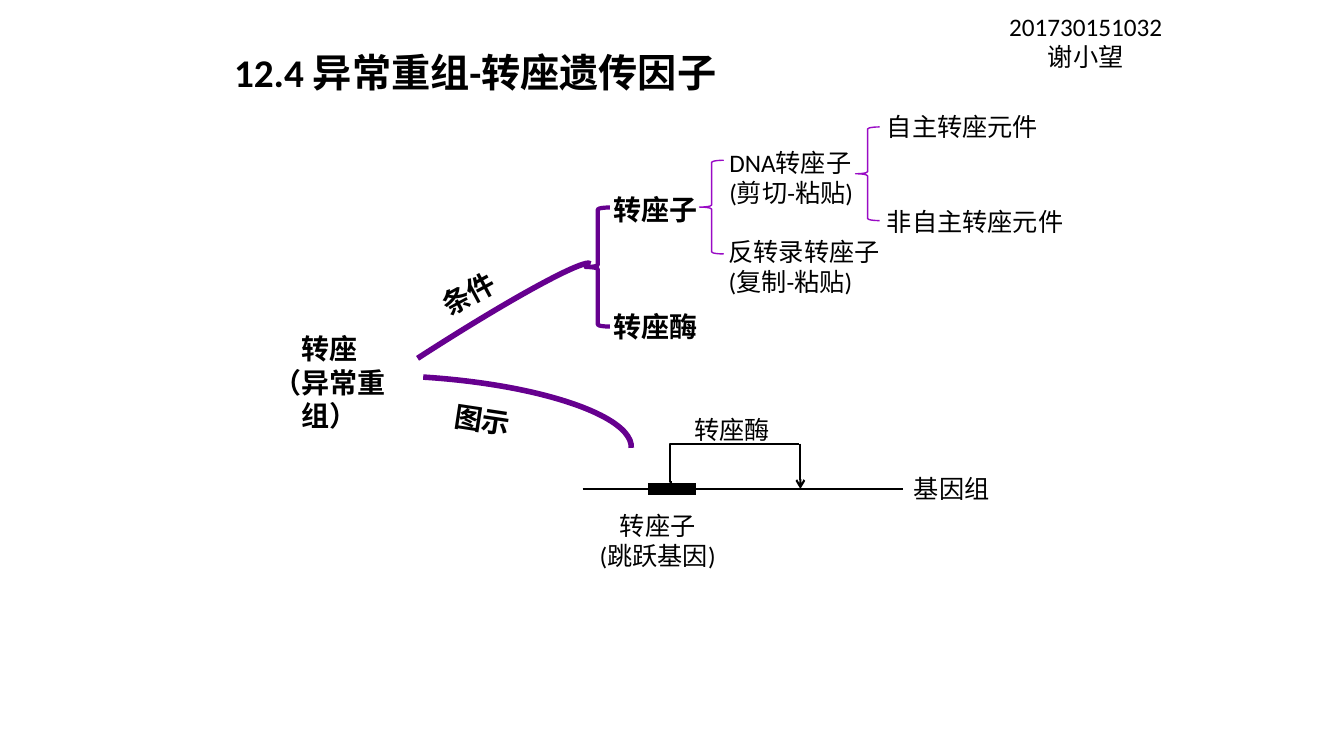
from lxml import etree
from pptx import Presentation
from pptx import util as u
from pptx.dml.color import RGBColor
from pptx.enum import shapes, text
from pptx.oxml import ns

COLORS = {"text": "000000", "branch": "66008F", "brace": "990BC5"}
LATIN = "Calibri"
CJK = "Noto Sans CJK SC"


def cm(*lengths):
    return [u.Cm(length) for length in lengths]


def style_line(line, color, width):
    line.color.rgb = RGBColor.from_string(COLORS[color])
    line.width = u.Pt(width)


def add_text(slide, box, lines, size=18, font=LATIN, bold=False, centered=False,
             rotation=0, anchor=text.MSO_ANCHOR.TOP, grow=True):
    shape = slide.shapes.add_textbox(*cm(*box))
    shape.rotation = rotation
    frame = shape.text_frame
    frame.word_wrap = True
    frame.vertical_anchor = anchor
    if grow:
        frame.auto_size = text.MSO_AUTO_SIZE.SHAPE_TO_FIT_TEXT
    frame.text = "\n".join(lines)
    for paragraph in frame.paragraphs:
        if centered:
            paragraph.alignment = text.PP_ALIGN.CENTER
        paragraph.font.size = u.Pt(size)
        paragraph.font.bold = bold
        paragraph.font.name = font
        paragraph.font.color.rgb = RGBColor.from_string(COLORS["text"])
        properties = paragraph._p.pPr.find(ns.qn("a:defRPr"))
        east_asian = etree.SubElement(properties, ns.qn("a:ea"))
        east_asian.set("typeface", CJK)


def add_label(slide, box, label, rotation=0):
    add_text(slide, box, [label], 20, CJK, True, rotation=rotation)


def add_outline(slide, kind, box, color, width, rotation=0):
    shape = slide.shapes.add_shape(kind, *cm(*box))
    shape.rotation = rotation
    shape.shadow.inherit = False
    shape.fill.background()
    style_line(shape.line, color, width)


def add_line(slide, ends, width, kind=shapes.MSO_CONNECTOR.STRAIGHT,
             bend=None, arrow=False):
    connector = slide.shapes.add_connector(kind, *cm(*ends))
    style_line(connector.line, "text", width)
    properties = connector._element.spPr
    if bend is not None:
        geometry = properties.find(ns.qn("a:prstGeom"))
        adjustments = geometry.find(ns.qn("a:avLst"))
        if adjustments is None:
            adjustments = etree.SubElement(geometry, ns.qn("a:avLst"))
        guide = etree.SubElement(adjustments, ns.qn("a:gd"))
        guide.set("name", "adj1")
        guide.set("fmla", f"val {bend}")
    if arrow:
        tail = etree.SubElement(properties.find(ns.qn("a:ln")), ns.qn("a:tailEnd"))
        tail.set("type", "arrow")
    etree.SubElement(properties, ns.qn("a:effectLst"))


def add_conditions(slide):
    arc = shapes.MSO_SHAPE.ARC
    brace = shapes.MSO_SHAPE.LEFT_BRACE
    add_outline(slide, arc, (5.77, 8.97, 9.91, 0.74), "branch", 4, 327.1)
    add_outline(slide, arc, (5.23, 9.5, 10.69, 2.9), "branch", 4, 3.6)
    add_label(slide, (10.82, 6.68, 2.59, 1.12), "条件", 331.6)
    add_label(slide, (11.2, 10.06, 2.46, 1.12), "图示", 8.6)
    add_outline(slide, brace, (14.76, 5.23, 0.61, 3), "branch", 3)
    for left, top in ((17.63, 4.04), (21.56, 3.2)):
        add_outline(slide, brace, (left, top, 0.61, 2.36), "brace", 1)
    for top, label in ((4.72, "转座子"), (7.67, "转座酶")):
        add_label(slide, (15.2, top, 2.79, 1.12), label)
    add_text(slide, (18.13, 3.58, 3.8, 1.8), ["DNA转座子", "(剪切-粘贴)"])
    add_text(slide, (18.11, 5.82, 4.5, 1.8), ["反转录转座子", "(复制-粘贴)"])
    add_text(slide, (22.1, 2.67, 4.45, 1.02), ["自主转座元件"])
    add_text(slide, (22.1, 5.08, 4.98, 1.02), ["非自主转座元件"])


def add_genome(slide):
    axis = 12.32
    bridge = 11.18
    add_line(slide, (14.68, axis, 22.76, axis), 2)
    add_line(slide, (16.33, axis, 17.53, axis), 8)
    add_line(slide, (16.94, 12.14, 20.14, bridge), 1.5,
             shapes.MSO_CONNECTOR.ELBOW, bend=-1700)
    add_line(slide, (20.17, bridge, 20.17, axis), 1.5, arrow=True)
    add_text(slide, (17.25, 10.31, 2.59, 1.02), ["转座酶"])
    add_text(slide, (14.76, 12.73, 3.63, 1.8), ["转座子", "(跳跃基因)"], centered=True)
    add_text(slide, (22.78, 11.81, 2.44, 1.02), ["基因组"])


def main():
    presentation = Presentation()
    presentation.slide_width, presentation.slide_height = cm(33.87, 19.05)
    slide = presentation.slides.add_slide(presentation.slide_layouts[6])
    add_text(slide, (5.28, 0.41, 13.39, 2.11), ["12.4 异常重组-转座遗传因子"], 28,
             bold=True, centered=True, anchor=text.MSO_ANCHOR.BOTTOM, grow=False)
    add_text(slide, (6.22, 8.23, 4.19, 1.96), ["转座", "（异常重组）"], 20, CJK,
             bold=True, centered=True)
    add_conditions(slide)
    add_genome(slide)
    add_text(slide, (24.87, 0.15, 4.98, 1.8), ["201730151032", "谢小望"], centered=True)
    presentation.save("out.pptx")


if __name__ == "__main__":
    main()
